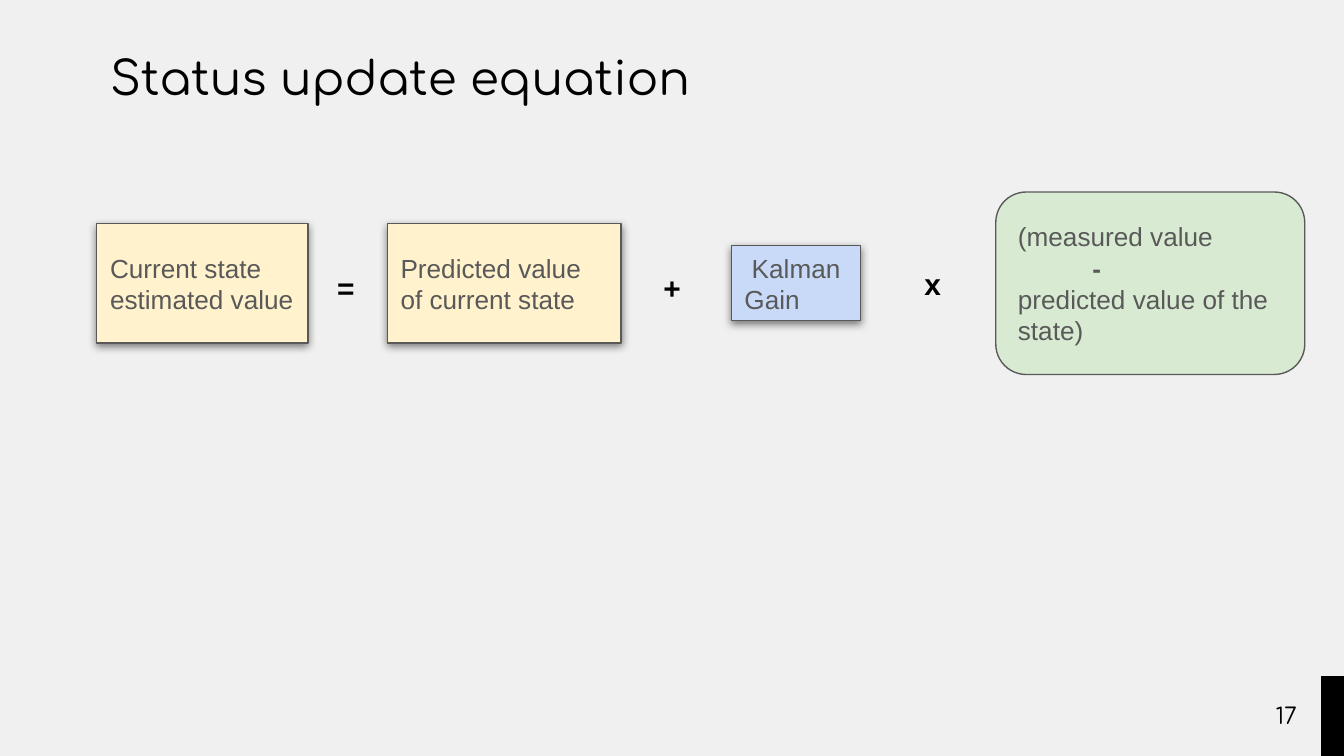
from dataclasses import dataclass

from lxml import etree
from pptx import Presentation
from pptx import util as u
from pptx.dml.color import RGBColor
from pptx.enum import shapes, text
from pptx.oxml import ns


@dataclass(frozen=True)
class Theme:
    back: str = "F0F0F0"
    black: str = "000000"
    gray: str = "595959"
    cream: str = "FFF2CC"
    blue: str = "C9DAF8"
    green: str = "D9EAD3"
    head: str = "Comfortaa"
    body: str = "Arial"
    title: int = 25
    term: int = 14
    sign: int = 16
    page: int = 12


T = Theme()
RECT = shapes.MSO_SHAPE.RECTANGLE
ROUND = shapes.MSO_SHAPE.ROUNDED_RECTANGLE
MID = text.MSO_ANCHOR.MIDDLE
TOP = text.MSO_ANCHOR.TOP


def rgb(code):
    return RGBColor.from_string(code)


def apply(item, form):
    for name, value in form.items():
        setattr(item, name, value)


def write(shape, lines, font, size, color, bold=(), anchor=MID,
          align=text.PP_ALIGN.LEFT):
    """Put lines in one paragraph; bold holds the indexes of bold lines."""
    frame = shape.text_frame
    pad = u.Cm(0.25)
    apply(frame, dict(word_wrap=True, vertical_anchor=anchor,
                      margin_left=pad, margin_right=pad,
                      margin_top=pad, margin_bottom=pad))
    para = frame.paragraphs[0]
    para.alignment = align
    for i, line in enumerate(lines):
        if i:
            para.add_line_break()
        run = para.add_run()
        run.text = line
        apply(run.font, dict(name=font, size=u.Pt(size), bold=i in bold))
        run.font.color.rgb = rgb(color)


def label(slide, box, *args, **form):
    write(slide.shapes.add_textbox(*map(u.Cm, box)), *args, **form)


def block(slide, kind, box, fill, line=None):
    shape = slide.shapes.add_shape(kind, *map(u.Cm, box))
    shape.shadow.inherit = False
    shape.fill.solid()
    shape.fill.fore_color.rgb = rgb(fill)
    if line:
        shape.line.color.rgb = rgb(line)
        shape.line.width = u.Pt(0.75)
    else:
        shape.line.fill.background()
    return shape


def shade(shape):
    """Soft drop shadow straight below the shape."""
    effects = shape.element.spPr.find(ns.qn("a:effectLst"))
    outer = etree.SubElement(effects, ns.qn("a:outerShdw"), dict(
        blurRad=str(u.Pt(4.5)), dist=str(u.Pt(1.5)), dir="5400000",
        algn="bl", rotWithShape="0"))
    color = etree.SubElement(outer, ns.qn("a:srgbClr"), val=T.black)
    etree.SubElement(color, ns.qn("a:alpha"), val="50000")


def heading(slide, box):
    label(slide, box, ["Status update equation"], T.head, T.title, T.black)


def equation(slide, box):
    left, top, _, high = box

    # Terms share one middle line: x, width, height, fill, kind, lines, bold
    terms = [
        (0, 3.99, 2.26, T.cream, RECT, ["Current state estimated value"], ()),
        (5.49, 4.42, 2.26, T.cream, RECT,
         ["Predicted value of current state"], ()),
        (11.99, 2.44, 1.42, T.blue, RECT, [" Kalman Gain"], ()),
        (16.99, 5.84, high, T.green, ROUND,
         ["(measured value", "\t - ", "predicted value of the state)"], (1,)),
    ]
    for x, w, h, fill, kind, lines, bold in terms:
        area = (left + x, top + (high - h) / 2, w, h)
        shape = block(slide, kind, area, fill, T.gray)
        if kind == RECT:
            shade(shape)
        write(shape, lines, T.body, T.term, T.gray, bold)

    # Signs between the terms
    for sign, x, y in [("=", 4.29, 1.22), ("+", 10.46, 1.22),
                       ("x", 15.39, 1.15)]:
        label(slide, (left + x, top + y, 0.99, 1.09), [sign],
              T.body, T.sign, T.black, bold=(0,), anchor=TOP)


def footer(slide, box):
    left, top, wide, high = box
    bar = 0.43
    block(slide, RECT, (left + wide - bar, top, bar, high), T.black)
    label(slide, (left, top + 0.2, 1.52, 1.09), ["17"],
          T.head, T.page, T.black, align=text.PP_ALIGN.CENTER)


def main():
    deck = Presentation()
    apply(deck, dict(slide_width=u.Cm(25.4), slide_height=u.Cm(14.29)))
    slide = deck.slides.add_slide(deck.slide_layouts[6])
    slide.background.fill.solid()
    slide.background.fill.fore_color.rgb = rgb(T.back)

    footer(slide, (23.55, 12.78, 1.85, 1.51))
    heading(slide, (1.83, 0.74, 12.19, 1.42))
    equation(slide, (1.83, 3.63, 22.83, 3.45))
    deck.save("out.pptx")


if __name__ == "__main__":
    main()
